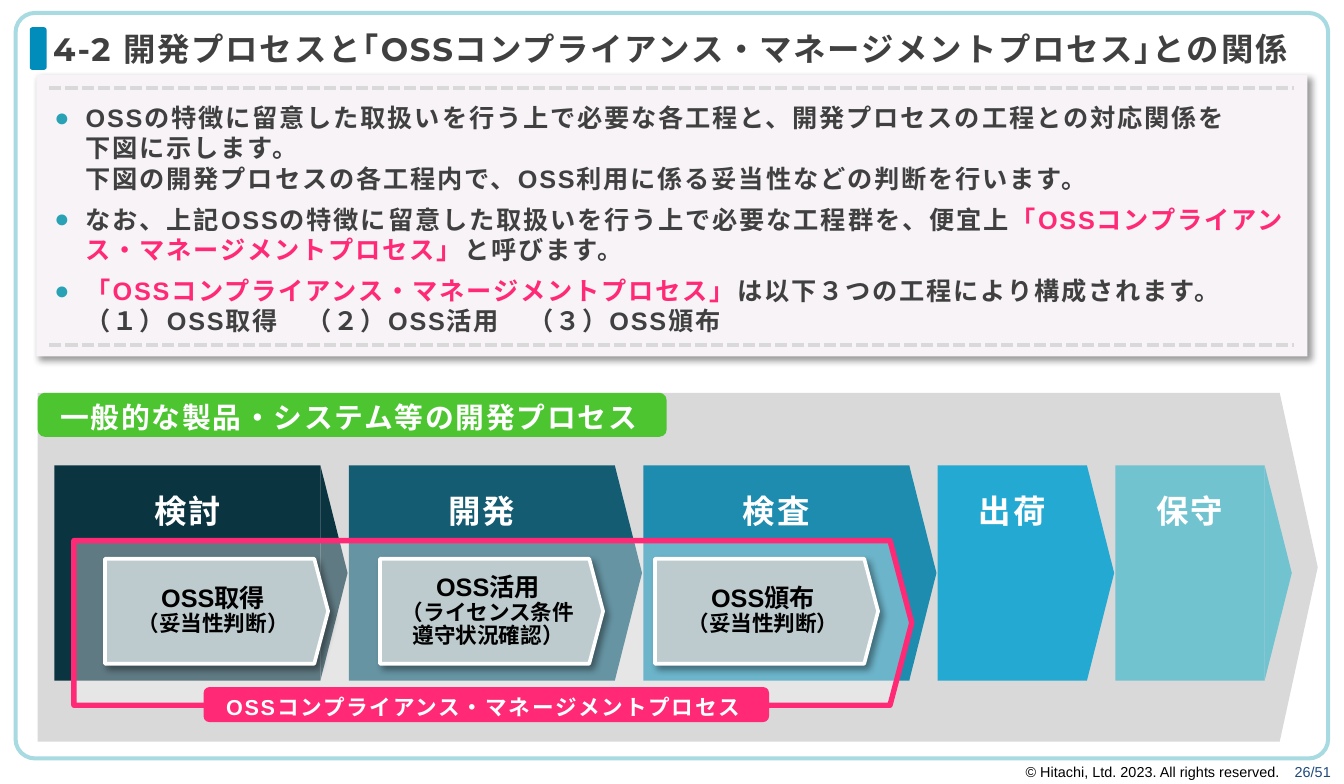
from copy import deepcopy

from lxml import etree
from pptx import Presentation
from pptx.dml.color import RGBColor
from pptx.enum.dml import MSO_LINE
from pptx.enum.shapes import MSO_CONNECTOR, MSO_SHAPE
from pptx.enum.text import MSO_ANCHOR, MSO_AUTO_SIZE, PP_ALIGN
from pptx.oxml.ns import qn
from pptx.util import Cm, Inches, Pt

RECT = MSO_SHAPE.RECTANGLE
ROUND = MSO_SHAPE.ROUNDED_RECTANGLE
PLATE = MSO_SHAPE.PENTAGON
WEDGE = MSO_SHAPE.ISOSCELES_TRIANGLE
LEFT, CENTER, RIGHT = PP_ALIGN.LEFT, PP_ALIGN.CENTER, PP_ALIGN.RIGHT
TOP, MIDDLE = MSO_ANCHOR.TOP, MSO_ANCHOR.MIDDLE
STRAIGHT = MSO_CONNECTOR.STRAIGHT
DASH = MSO_LINE.SQUARE_DOT
NO_FIT = MSO_AUTO_SIZE.NONE

WHITE, BLACK, DARK, GREY, PINK = "FFFFFF", "000000", "404040", "D9D9D9", "FF2975"
PROCESS = "OSSコンプライアンス・マネージメントプロセス"


def paint(target, color):
    """Give a fill or a line one solid colour."""
    target.solid()
    target.fore_color.rgb = RGBColor.from_string(color)


def node(parent, tag, **attrs):
    return etree.SubElement(parent, qn(tag), {k: str(v) for k, v in attrs.items()})


def place(shape, area):
    shape.left, shape.top, shape.width, shape.height = map(Inches, area)


def box(slide, kind, area, fill=None, line=None, width=1, adj=None,
        alpha=None, shadow=False):
    shape = slide.shapes.add_shape(kind, *map(Inches, area))
    if adj is not None:
        shape.adjustments[0] = adj
    if fill:
        paint(shape.fill, fill)
    else:
        shape.fill.background()
    if alpha:
        tone = shape.element.spPr.find(qn("a:solidFill"))[0]
        node(tone, "a:alpha", val=alpha * 1000)
    if line:
        paint(shape.line.fill, line)
        shape.line.width = Pt(width)
    else:
        shape.line.fill.background()
    shape.shadow.inherit = False
    if shadow:
        effects = shape.element.spPr.find(qn("a:effectLst"))
        cast = node(effects, "a:outerShdw", blurRad=Pt(4), dist=Pt(3),
                    dir=45 * 60000, algn="tl", rotWithShape=0)
        node(node(cast, "a:srgbClr", val=BLACK), "a:alpha", val=40000)
    return shape


def bullet(para, color):
    props = para._p.get_or_add_pPr()
    props.set("marL", str(Inches(0.24)))
    props.set("indent", str(Inches(-0.24)))
    node(node(props, "a:buClr"), "a:srgbClr", val=color)
    node(props, "a:buChar", char="●")


def write(shape, paras, size=14, color=WHITE, font="Arial", bold=True, track=0,
          align=LEFT, anchor=MIDDLE, inset=(0.1, 0.05, 0.1, 0.05), wrap=True,
          lead=None, gap=0, mark=None):
    """Fill a shape with paragraphs, each a list of (text, colour, size) runs."""
    frame = shape.text_frame
    frame.auto_size = NO_FIT
    frame.word_wrap = wrap
    frame.vertical_anchor = anchor
    (frame.margin_left, frame.margin_top,
     frame.margin_right, frame.margin_bottom) = map(Inches, inset)
    for i, runs in enumerate(paras):
        para = frame.add_paragraph() if i else frame.paragraphs[0]
        if mark:
            bullet(para, mark)
        para.alignment = align
        para.space_before = Pt(gap if i else 0)
        if lead:
            para.line_spacing = lead
        for words, tone, points in runs:
            for j, part in enumerate(words.split("\n")):
                if j:
                    node(para._p, "a:br").append(deepcopy(run.font._element))
                run = para.add_run()
                run.text = part
                run.font.name = font
                node(run.font._element, "a:ea", typeface=font)
                run.font.size = Pt(points or size)
                run.font.bold = bold
                run.font.color.rgb = RGBColor.from_string(tone or color)
                if track:
                    run.font._element.set("spc", str(track * 100))


def plain(text):
    return [[(text, None, None)]]


def rule(slide, y):
    line = slide.shapes.add_connector(
        STRAIGHT, Inches(0.38), Inches(y), Inches(9.98), Inches(y))
    paint(line.line.fill, GREY)
    line.line.width = Pt(2.25)
    line.line.dash_style = DASH
    node(line.element.spPr, "a:effectLst")


def stage(slide, left, width, name, color):
    """Draw a phase of development: a block with a pointed right edge."""
    top, height, tip = 3.59, 1.66, 0.21
    block = box(slide, RECT, (left, top, width, height), color)
    write(block, plain(name), size=18, track=1, align=CENTER, anchor=TOP,
          inset=(0, 0.2, 0, 0))
    mid = left + width + tip / 2
    wedge = box(slide, WEDGE, (mid - height / 2, top + (height - tip) / 2,
                               height, tip), color)
    wedge.rotation = 90


def step(slide, left, name, notes):
    plate = box(slide, PLATE, (left, 4.31, 1.72, 0.81), "BDCBCE", WHITE, 2,
                adj=0.132, shadow=True)
    paras = plain(name) + [[(note, None, 12)] for note in notes]
    write(plate, paras, color=BLACK, align=CENTER, wrap=False, lead=0.9)


def label(slide, area, text, fill, size, anchor):
    tab = box(slide, ROUND, area, fill)
    write(tab, plain(text), size=size, track=1, anchor=anchor,
          inset=(0.16, 0.04, 0.16, 0))


def base(slide):
    """Draw the frame, the title mark and the footer."""
    foot = slide.shapes.add_textbox(*map(Inches, (6.81, 5.84, 3.55, 0.24)))
    write(foot, [[("© Hitachi, Ltd. 2023. All rights reserved.　", BLACK, None),
                  ("26/51", "1F497D", None)]],
          size=8, bold=False, align=RIGHT, anchor=TOP)
    box(slide, ROUND, (0.23, 0.21, 0.13, 0.33), "008DBC")
    box(slide, ROUND, (0.12, 0.1, 10.12, 5.75), line="A8DAE2", width=2.25,
        adj=0.026)


def flow(slide):
    box(slide, PLATE, (0.29, 3.03, 9.87, 2.69), GREY, adj=0.109)
    left = 0.42
    for name, width, color in (("検討", 2.05, "0B3441"), ("開発", 2.05, "145C72"),
                               ("検査", 2.05, "1E8CAE"), ("出荷", 1.15, "24A9D2"),
                               ("保守", 1.15, "72C3D0")):
        stage(slide, left, width, name, color)
        left += width + 0.22
    label(slide, (0.29, 3.03, 4.85, 0.34), "一般的な製品・システム等の開発プロセス",
          "4DC531", 16, TOP)
    box(slide, PLATE, (0.57, 4.17, 6.46, 1.27), WHITE, PINK, 3, adj=0.132, alpha=35)
    steps = (("OSS取得", ["（妥当性判断）"]),
             ("OSS活用", ["（ライセンス条件", "遵守状況確認）"]),
             ("OSS頒布", ["（妥当性判断）"]))
    for i, (name, notes) in enumerate(steps):
        step(slide, 0.81 + i * 2.12, name, notes)
    label(slide, (1.57, 5.3, 4.36, 0.27), PROCESS, PINK, 12, MIDDLE)


def points(slide, body):
    box(slide, RECT, (0.28, 0.58, 9.8, 2.17), "F7F3F7", shadow=True)
    for y in (0.68, 2.66):
        rule(slide, y)
    quoted = (f"「{PROCESS}」", PINK, None)
    paras = plain("OSSの特徴に留意した取扱いを行う上で必要な各工程と、開発プロセスの工程との対応関係を\n"
                  "下図に示します。\n"
                  "下図の開発プロセスの各工程内で、OSS利用に係る妥当性などの判断を行います。")
    paras += [
        [("なお、上記OSSの特徴に留意した取扱いを行う上で必要な工程群を、便宜上", None, None),
         quoted, ("と呼びます。", None, None)],
        [quoted, ("は以下３つの工程により構成されます。\n"
                  "（１）OSS取得　（２）OSS活用　（３）OSS頒布", None, None)]]
    place(body, (0.34, 0.79, 9.78, 1.85))
    write(body, paras, color=DARK, track=1, anchor=TOP, inset=(0.08, 0, 0.16, 0),
          gap=6, mark="29A2B5")
    slide.shapes.element.append(body.element)


def main():
    deck = Presentation()
    deck.slide_width, deck.slide_height = Cm(26.32), Cm(15.36)
    slide = deck.slides.add_slide(deck.slide_layouts[1])
    title, body = slide.placeholders
    base(slide)
    place(title, (0.31, 0.21, 9.83, 0.37))
    write(title, plain(f"4-2 開発プロセスと｢{PROCESS}｣との関係"), size=18, color=DARK,
          font="Montserrat", track=1, lead=0.9, inset=(0.1, 0.05, 0, 0.05))
    flow(slide)
    points(slide, body)
    deck.save("out.pptx")


if __name__ == "__main__":
    main()
